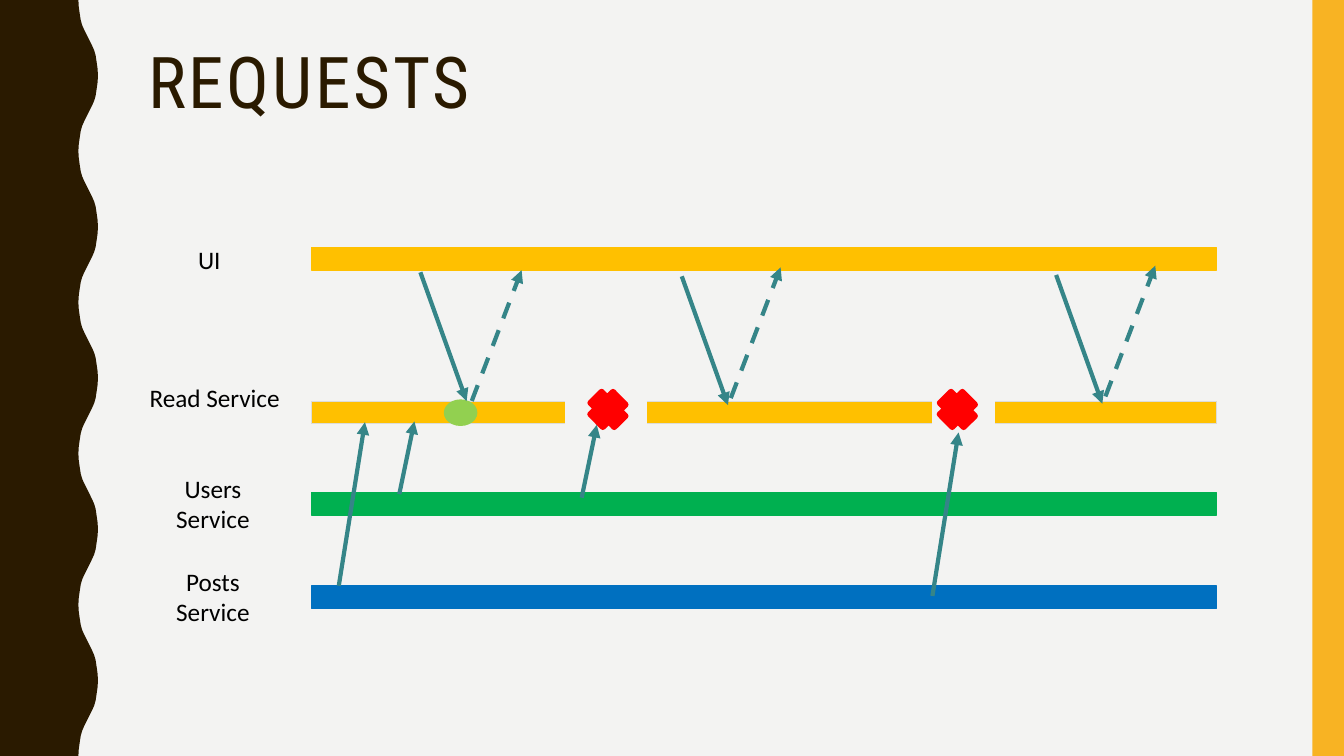
"""Builds the slide on requests between the UI and its services."""
import pptx
import pptx.dml.color
import pptx.enum.dml
import pptx.enum.shapes
import pptx.enum.text
import pptx.oxml
import pptx.oxml.ns
import pptx.util

Pt = pptx.util.Pt
RGB = pptx.dml.color.RGBColor
SHAPE = pptx.enum.shapes.MSO_SHAPE
ALIGN = pptx.enum.text.PP_ALIGN
ANCHOR = pptx.enum.text.MSO_ANCHOR

PAPER = RGB(0xF3, 0xF3, 0xF2)
BROWN = RGB(0x2A, 0x1A, 0x00)
AMBER = RGB(0xF8, 0xB3, 0x23)
GOLD = RGB(0xFF, 0xC0, 0x00)
GREEN = RGB(0x00, 0xB0, 0x50)
BLUE = RGB(0x00, 0x70, 0xC0)
LIME = RGB(0x92, 0xD0, 0x50)
RED = RGB(0xFF, 0x00, 0x00)
TEAL = RGB(0x35, 0x85, 0x88)
SILVER = RGB(0xDC, 0xDC, 0xD9)
BLACK = RGB(0x00, 0x00, 0x00)

WIDE, HIGH = 960, 540
BAR_X, BAR_W, BAR_H = 222.5, 646.5, 16
CURVE = [(0, 56), (5, 56.3), (10, 57), (14.5, 57.7), (18, 58.7),
         (21, 60), (24, 61.5), (27, 63)]


class Board:
    """Holds the style and the current slide."""

    def __init__(self, slide):
        self.slide = slide
        self.shapes = slide.shapes
        self.face = "Calibri"
        self.size = 18
        slide.background.fill.solid()
        slide.background.fill.fore_color.rgb = PAPER

    def paint(self, shape, fill, edge=None, width=1):
        shape.shadow.inherit = False
        shape.fill.solid()
        shape.fill.fore_color.rgb = fill
        if edge is None:
            shape.line.fill.background()
        else:
            shape.line.color.rgb = edge
            shape.line.width = Pt(width)

    def form(self, kind, x, y, w, h, fill, edge=None, width=1, turn=0):
        shape = self.shapes.add_shape(kind, Pt(x), Pt(y), Pt(w), Pt(h))
        shape.rotation = turn
        self.paint(shape, fill, edge, width)

    def wave(self, step, count):
        half = CURVE + [(54 - y, 126 - x) for y, x in CURVE[-2::-1]]
        full = half + [(step - y, x) for y, x in half[-2::-1]]
        edge = [(Pt(x), Pt(y + step * turn))
                for turn in range(count) for y, x in full]
        pen = self.shapes.build_freeform(0, 0)
        pen.add_line_segments(edge + [(0, Pt(HIGH))], close=True)
        self.paint(pen.convert_to_shape(), BROWN)

    def title(self, text):
        box = self.shapes.title
        box.left, box.top, box.width, box.height = map(Pt, (98.6, 30.2, 801.4, 117.4))
        frame = box.text_frame
        frame.text = text
        frame.word_wrap = True
        frame.vertical_anchor = ANCHOR.TOP
        para = frame.paragraphs[0]
        para.alignment = ALIGN.LEFT
        para.line_spacing = 0.9
        para.font.name = "Roboto Condensed"
        para.font.size = Pt(51)
        para.font.color.rgb = BROWN
        para.runs[0]._r.get_or_add_rPr().set("spc", "200")

    def label(self, text, x, y, w, h):
        frame = self.shapes.add_textbox(Pt(x), Pt(y), Pt(w), Pt(h)).text_frame
        frame.word_wrap = True
        frame.text = text
        for para in frame.paragraphs:
            para.alignment = ALIGN.CENTER
            para.font.name = self.face
            para.font.size = Pt(self.size)
            para.font.color.rgb = BLACK

    def arrow(self, x, y, end_x, end_y, dash=False):
        link = self.shapes.add_connector(
            pptx.enum.shapes.MSO_CONNECTOR.STRAIGHT,
            Pt(x), Pt(y), Pt(end_x), Pt(end_y))
        link.line.color.rgb = TEAL
        link.line.width = Pt(3)
        if dash:
            link.line.dash_style = pptx.enum.dml.MSO_LINE.DASH
        tail = pptx.oxml.parse_xml(
            f'<a:tailEnd {pptx.oxml.ns.nsdecls("a")} type="triangle"/>')
        link.line._get_or_add_ln().append(tail)
        none = pptx.oxml.parse_xml(f'<a:effectLst {pptx.oxml.ns.nsdecls("a")}/>')
        link._element.spPr.append(none)


def main():
    deck = pptx.Presentation()
    deck.slide_width, deck.slide_height = Pt(WIDE), Pt(HIGH)
    board = Board(deck.slides.add_slide(deck.slide_layouts[5]))
    board.wave(108, 5)
    board.form(SHAPE.RECTANGLE, 937.5, 0, 22.5, HIGH, AMBER)
    board.title("REQUESTS")

    for y, fill, edge in [(177, GOLD, GOLD), (286.6, GOLD, SILVER),
                          (352, GREEN, GREEN), (418.5, BLUE, BLUE)]:
        board.form(SHAPE.RECTANGLE, BAR_X, y, BAR_W, BAR_H, fill, edge)
    for text, x, y, w, h in [("UI", 93, 170.8, 113, 29),
                             ("Read Service", 98.6, 269.5, 109.6, 29),
                             ("Users\nService", 98.6, 334.2, 107, 51),
                             ("Posts\nService", 98.6, 400.8, 107, 51)]:
        board.label(text, x, y, w, h)

    for x, y, w in [(404, 281.5, 57.6), (666, 285.8, 44.6)]:
        board.form(SHAPE.RECTANGLE, x, y, w, 23.8, PAPER, PAPER)
    board.form(SHAPE.OVAL, 317.5, 285.8, 23, 18, LIME, LIME)
    for x in (422, 671.6):
        board.form(SHAPE.CROSS, x, 281, 24.5, 23, RED, RED, 4, 45.4)

    for x, y in [(300.3, 194.5), (487, 197.4), (754.4, 196.4)]:
        board.arrow(x, y, x + 33, y + 92)
    for x, y in [(337, 286.4), (522, 284.4), (789.6, 283.2)]:
        board.arrow(x, y, x + 35.6, y - 93.4, dash=True)
    for x, y in [(285.2, 353), (415.5, 355.5)]:
        board.arrow(x, y, x + 10.8, y - 52)
    for x, y in [(242, 418.4), (666, 425.7)]:
        board.arrow(x, y, x + 18.7, y - 116.8)
    deck.save("out.pptx")


if __name__ == "__main__":
    main()
